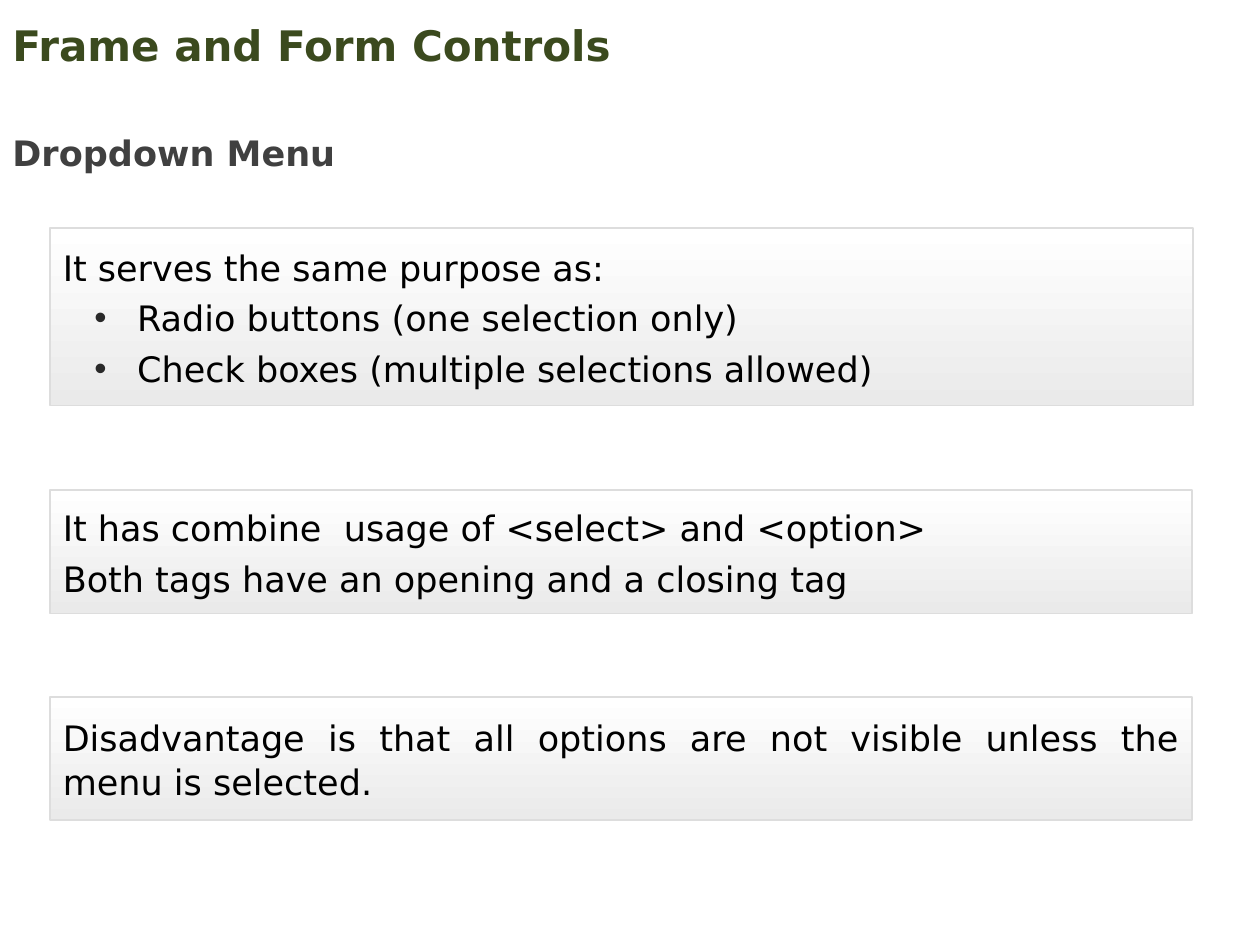
from lxml.etree import SubElement as Sub
from pptx import Presentation
from pptx.dml.color import RGBColor as RGB
from pptx.enum.shapes import MSO_SHAPE as Shape
from pptx.enum.text import MSO_ANCHOR as Anchor, PP_ALIGN as Align
from pptx.oxml.ns import qn
from pptx.util import Inches, Pt

FONT = "DejaVu Sans"
GREEN = RGB(0x3B, 0x4A, 0x1E)
DARK = RGB(0x40, 0x40, 0x40)
BLACK = RGB(0, 0, 0)
WHITE = RGB(0xFF, 0xFF, 0xFF)
PALE = RGB(0xEA, 0xEA, 0xEA)
EDGE = RGB(0xDD, 0xDD, 0xDD)


def style(para, size, color, bold=False):
    font = para.font
    font.name, font.size, font.bold = FONT, Pt(size), bold
    font.color.rgb = color


def bullet(para):
    props = para._p.get_or_add_pPr()
    props.set("marL", str(Inches(0.59)))
    props.set("indent", str(Inches(-0.34)))
    color = Sub(props, qn("a:buClr"))
    Sub(color, qn("a:srgbClr"), val="292929")
    Sub(props, qn("a:buFont"), typeface="Arial")
    Sub(props, qn("a:buChar"), char="•")


prs = Presentation()
prs.slide_width, prs.slide_height = Inches(10), Inches(7.5)
slide = prs.slides.add_slide(prs.slide_layouts[6])

# Title and subtitle
heads = [
    ("Frame and Form Controls", 0.14, 9, 0.43, 24, GREEN, 1),
    ("Dropdown Menu", 0.83, 3.85, 0.54, 20, DARK, 1.5),
]
for text, top, width, height, size, color, space in heads:
    box = slide.shapes.add_textbox(0, Inches(top), Inches(width), Inches(height))
    frame = box.text_frame
    frame.word_wrap = True
    frame.vertical_anchor = Anchor.MIDDLE if space == 1 else Anchor.TOP
    para = frame.paragraphs[0]
    para.text = text
    para.line_spacing = space
    style(para, size, color, bold=True)

# Shaded panels: top, width, height, right inset, lines (text, has bullet)
panels = [
    (1.81, 9.07, 1.41, 0.24, [
        ("It serves the same purpose as:", False),
        ("Radio buttons (one selection only)", True),
        ("Check boxes (multiple selections allowed)", True),
    ]),
    (3.89, 9.06, 0.98, 0.1, [
        ("It has combine  usage of <select> and <option>", False),
        ("Both tags have an opening and a closing tag", False),
    ]),
    (5.53, 9.06, 0.98, 0.1, [
        ("Disadvantage is that all options are not visible unless the "
         "menu is selected.", False),
    ]),
]
for top, width, height, inset, lines in panels:
    panel = slide.shapes.add_shape(
        Shape.RECTANGLE, Inches(0.4), Inches(top), Inches(width), Inches(height))
    panel.shadow.inherit = False
    panel.line.color.rgb = EDGE
    panel.line.width = Pt(1)
    fill = panel.fill
    fill.gradient()
    fill.gradient_angle = 270
    for stop, color in zip(fill.gradient_stops, (WHITE, PALE)):
        stop.color.rgb = color

    frame = panel.text_frame
    frame.word_wrap = True
    frame.vertical_anchor = Anchor.MIDDLE
    frame.margin_left, frame.margin_right = Inches(0.1), Inches(inset)
    frame.margin_top = frame.margin_bottom = 0
    for i, (text, dot) in enumerate(lines):
        para = frame.add_paragraph() if i else frame.paragraphs[0]
        para.text = text
        para.alignment = Align.JUSTIFY
        para.line_spacing = Pt(25)
        para.space_after = Pt(4)
        if dot:
            para.level = 1
            bullet(para)
        style(para, 20, BLACK)

prs.save("out.pptx")
